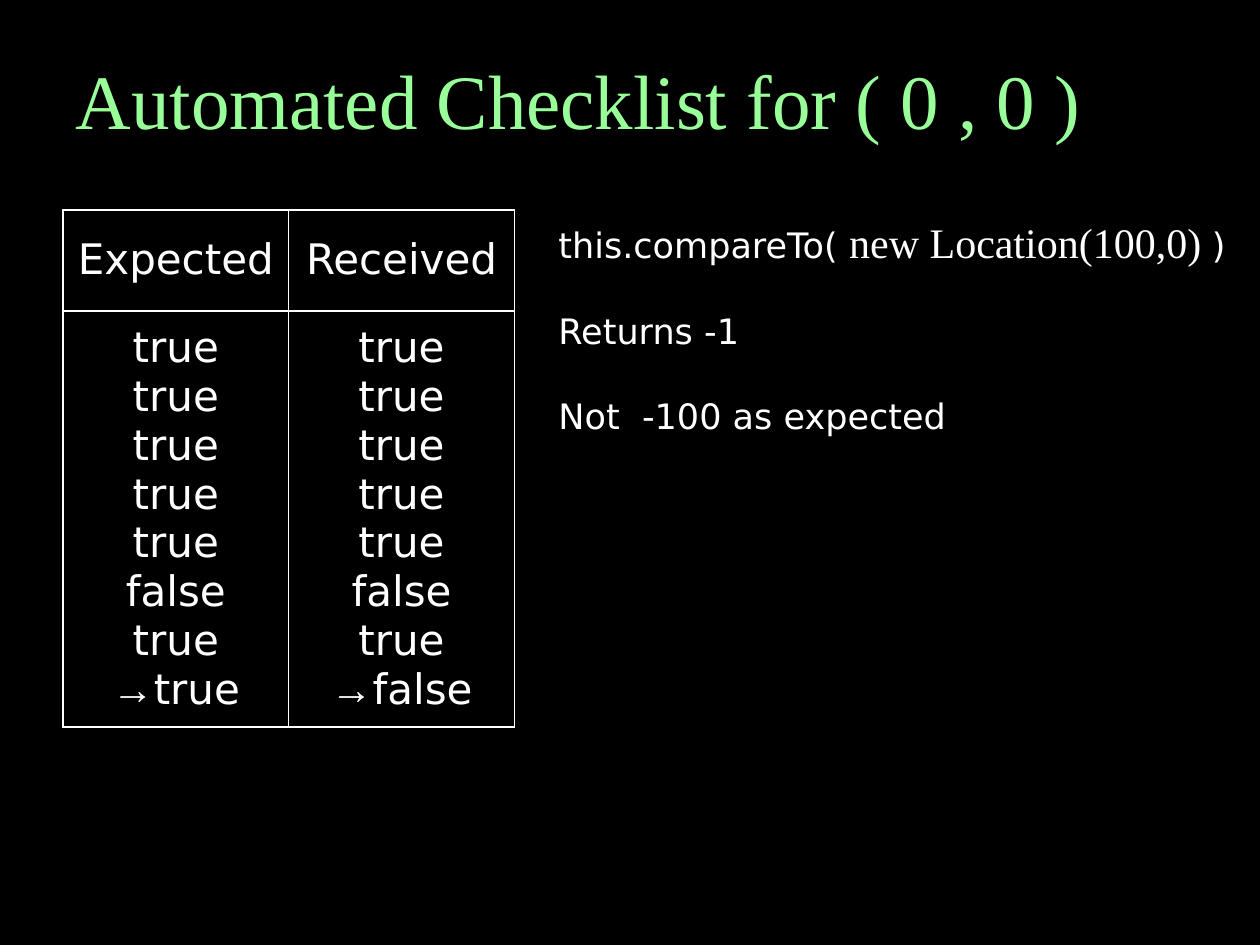
from lxml import etree
from pptx import Presentation
from pptx.dml.color import RGBColor
from pptx.enum.text import MSO_ANCHOR, MSO_AUTO_SIZE, PP_ALIGN
from pptx.oxml.ns import qn
from pptx.util import Pt

LEFT, CENTER = PP_ALIGN.LEFT, PP_ALIGN.CENTER
BOTTOM, MIDDLE = MSO_ANCHOR.BOTTOM, MSO_ANCHOR.MIDDLE
GROW = MSO_AUTO_SIZE.SHAPE_TO_FIT_TEXT
NO_AUTO_SIZE = MSO_AUTO_SIZE.NONE

COLORS = {"background": "000000", "title": "99FF99", "text": "FFFFFF", "border": "FFFFFF"}
SANS, SERIF, SYMBOL = "DejaVu Sans", "Times New Roman", "Arial"
OUTER_LINE, INNER_LINE = 0.96, 0.45
TITLE_ONLY = 5

COMMON_RESULTS = ["true"] * 5 + ["false", "true"]
CHECKLIST = {
    "Expected": COMMON_RESULTS + ["→true"],
    "Received": COMMON_RESULTS + ["→false"],
}


def add_span(para, text, font=SANS, size=24, color="text"):
    span = para.add_run()
    span.text = text
    span.font.name = font
    span.font.size = Pt(size)
    span.font.color.rgb = RGBColor.from_string(COLORS[color])


def add_border(cell, side, width):
    line = etree.SubElement(cell._tc.get_or_add_tcPr(), qn(f"a:ln{side}"), w=str(Pt(width)))
    fill = etree.SubElement(line, qn("a:solidFill"))
    etree.SubElement(fill, qn("a:srgbClr"), val=COLORS["border"])


class ChecklistSlide:
    def __init__(self, deck):
        self.slide = deck.slides.add_slide(deck.slide_layouts[TITLE_ONLY])
        background = self.slide.background.fill
        background.solid()
        background.fore_color.rgb = RGBColor.from_string(COLORS["background"])

    def title(self, text, left, top, width, height):
        box = self.slide.shapes.title
        box.left, box.top, box.width, box.height = map(Pt, (left, top, width, height))
        frame = box.text_frame
        frame.vertical_anchor = BOTTOM
        frame.auto_size = NO_AUTO_SIZE
        para = frame.paragraphs[0]
        para.alignment = LEFT
        add_span(para, text, font=SERIF, size=44, color="title")

    def table(self, columns, left, top, column_width, row_heights):
        """Draw one header cell and one cell of stacked results per column."""
        count = len(columns)
        table = self.slide.shapes.add_table(
            len(row_heights), count, Pt(left), Pt(top),
            Pt(column_width * count), Pt(sum(row_heights))).table
        table.first_row = table.horz_banding = False
        for row, height in zip(table.rows, row_heights):
            row.height = Pt(height)
        for index, (header, results) in enumerate(columns.items()):
            table.columns[index].width = Pt(column_width)
            widths = {
                "L": INNER_LINE if index else OUTER_LINE,
                "R": INNER_LINE if index < count - 1 else OUTER_LINE,
                "T": OUTER_LINE,
                "B": OUTER_LINE,
            }
            for row_index, lines in enumerate(([header], results)):
                self.cell(table.cell(row_index, index), lines, widths)

    def cell(self, cell, lines, border_widths):
        for side, width in border_widths.items():
            add_border(cell, side, width)
        cell.fill.background()
        cell.vertical_anchor = MIDDLE
        for index, line in enumerate(lines):
            frame = cell.text_frame
            para = frame.add_paragraph() if index else frame.paragraphs[0]
            para.alignment = CENTER
            if line.startswith("→"):
                add_span(para, "→", font=SYMBOL)
            add_span(para, line.removeprefix("→"))

    def text(self, paragraphs, left, top, width, height, gap):
        """Each paragraph is a list of (text, format) pairs."""
        box = self.slide.shapes.add_textbox(Pt(left), Pt(top), Pt(width), Pt(height))
        frame = box.text_frame
        frame.word_wrap = True
        frame.auto_size = GROW
        for index, spans in enumerate(paragraphs):
            para = frame.add_paragraph() if index else frame.paragraphs[0]
            if index:
                para.space_before = Pt(gap)
            for text, style in spans:
                add_span(para, text, **style)


def main():
    deck = Presentation()
    deck.slide_width, deck.slide_height = Pt(720), Pt(540)
    page = ChecklistSlide(deck)
    page.table(CHECKLIST, left=36, top=120, column_width=129, row_heights=(57.6, 237.9))
    page.title("Automated Checklist for ( 0 , 0 )", left=36, top=-3.6, width=648, height=90)
    note = {"size": 20}
    page.text(
        [
            [("this.compareTo( ", note),
             ("new Location(100,0) ", {"font": SERIF, "size": 24}),
             (")", note)],
            [("Returns -1", note)],
            [("Not  -100 as expected", note)],
        ],
        left=312, top=120, width=666, height=132.5, gap=24.7)
    deck.save("out.pptx")


if __name__ == "__main__":
    main()
